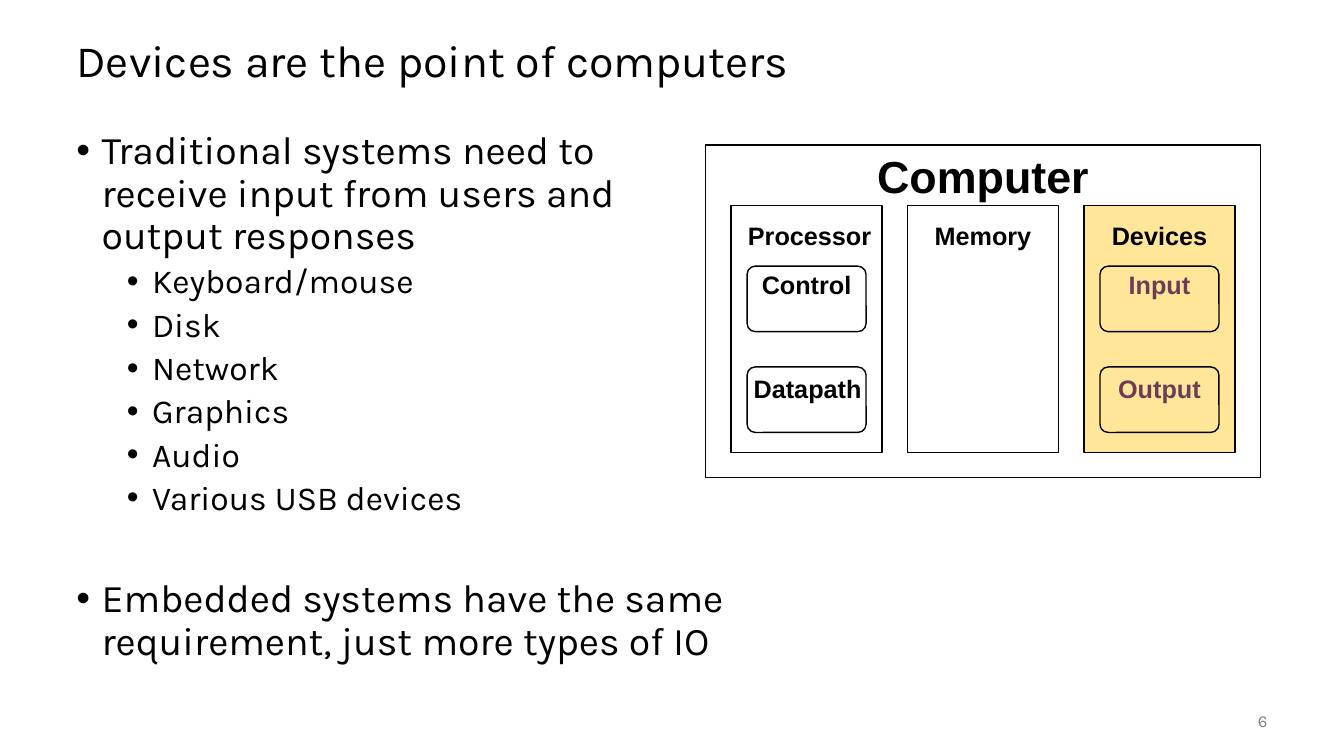
"""Build a slide on devices as the point of computers."""
from dataclasses import dataclass
from typing import Optional

from lxml import etree
from pptx import Presentation
from pptx.dml import color
from pptx.enum import shapes, text
from pptx.oxml import ns
from pptx.util import Inches, Pt

COLORS = {"black": "000000", "white": "FFFFFF", "gold": "FFE699",
          "plum": "703B56", "gray": "808080"}
ALIGN = text.PP_ALIGN
ANCHOR = text.MSO_ANCHOR


@dataclass
class Box:
    x: float
    y: float
    w: float
    h: float
    fill: Optional[str] = None
    rounded: bool = False


@dataclass
class Label:
    text: str
    x: float
    y: float
    w: float = 1.5
    h: float = 0.32
    size: float = 18
    color: str = "black"


@dataclass
class Bullet:
    text: str
    level: int = 0
    before: float = 5


def rgb(name: str) -> color.RGBColor:
    return color.RGBColor.from_string(COLORS[name])


def add_frame(s, x: float, y: float, w: float, h: float,
              inset=(0.1, 0.05), anchor=ANCHOR.TOP):
    tf = s.shapes.add_textbox(Inches(x), Inches(y), Inches(w), Inches(h)).text_frame
    tf.word_wrap = True
    tf.vertical_anchor = anchor
    tf.margin_left = tf.margin_right = Inches(inset[0])
    tf.margin_top = tf.margin_bottom = Inches(inset[1])
    return tf


def write(p, content: str, *, size: float, font: str = "Karla", ink: str = "black",
          bold: bool = False, align=ALIGN.LEFT, spacing: float = 0.9,
          before: float = 0) -> None:
    p.text = content
    p.alignment = align
    p.line_spacing = spacing
    p.space_before = Pt(before)
    for r in p.runs:
        r.font.size = Pt(size)
        r.font.name = font
        r.font.bold = bold
        r.font.color.rgb = rgb(ink)


def add_bullet(p, item: Bullet) -> None:
    p.level = item.level
    pPr = p._p.get_or_add_pPr()
    pPr.set("marL", str(Inches(0.25 + 0.5 * item.level)))
    pPr.set("indent", str(Inches(-0.25)))
    etree.SubElement(pPr, ns.qn("a:buFont"), typeface="Arial")
    etree.SubElement(pPr, ns.qn("a:buChar"), char="•")
    write(p, item.text, size=28 - 4 * item.level, before=item.before)


def draw_box(s, box: Box) -> None:
    kind = shapes.MSO_SHAPE.ROUNDED_RECTANGLE if box.rounded else shapes.MSO_SHAPE.RECTANGLE
    sp = s.shapes.add_shape(kind, Inches(box.x), Inches(box.y), Inches(box.w), Inches(box.h))
    if box.rounded:
        sp.adjustments[0] = 0.125
    sp.shadow.inherit = False
    sp.line.color.rgb = rgb("black")
    sp.line.width = Pt(1)
    if box.fill:
        sp.fill.solid()
        sp.fill.fore_color.rgb = rgb(box.fill)
    else:
        sp.fill.background()


def draw_label(s, label: Label) -> None:
    tf = add_frame(s, label.x, label.y, label.w, label.h, inset=(0.07, 0.03))
    write(tf.paragraphs[0], label.text, size=label.size, font="Arial", ink=label.color,
          bold=True, align=ALIGN.CENTER, spacing=0.85)


def draw_computer(s) -> None:
    processor, memory, devices = (7.25 + 1.75 * i for i in range(3))
    boxes = [Box(7, 1.44, 5.5, 3.3)]
    boxes += [Box(x, 2.04, 1.5, 2.45, fill)
              for x, fill in ((processor, None), (memory, None), (devices, "gold"))]
    boxes += [Box(x + 0.16, y, 1.18, 0.65, fill, True)
              for x, fill in ((processor, "white"), (devices, None))
              for y in (2.64, 3.64)]
    labels = [
        Label("Computer", 7, 1.53, 5.5, 0.51, 32),
        Label("Processor", processor + 0.03, 2.2),
        Label("Memory", memory, 2.2),
        Label("Devices", devices, 2.2),
        Label("Control", processor, 2.69),
        Label("Datapath", processor + 0.01, 3.72),
        Label("Input", devices, 2.69, color="plum"),
        Label("Output", devices, 3.72, color="plum"),
    ]
    for box in boxes:
        draw_box(s, box)
    for label in labels:
        draw_label(s, label)


def main() -> None:
    prs = Presentation()
    prs.slide_width, prs.slide_height = Inches(13.33), Inches(7.5)
    s = prs.slides.add_slide(prs.slide_layouts[6])

    tf = add_frame(s, 0.66, 0.25, 12, 0.75, anchor=ANCHOR.MIDDLE)
    write(tf.paragraphs[0], "Devices are the point of computers", size=32)

    devices = ("Keyboard/mouse", "Disk", "Network", "Graphics", "Audio",
               "Various USB devices")
    bullets = [
        Bullet("Traditional systems need to\vreceive input from users and\voutput responses",
               before=0),
        *(Bullet(name, 1) for name in devices),
        Bullet("Embedded systems have the same requirement, just more types of IO",
               before=44),
    ]
    tf = add_frame(s, 0.66, 1.25, 7.56, 5.5)
    for i, item in enumerate(bullets):
        add_bullet(tf.add_paragraph() if i else tf.paragraphs[0], item)

    tf = add_frame(s, 11.67, 6.95, 1, 0.4, anchor=ANCHOR.MIDDLE)
    write(tf.paragraphs[0], "6", size=12, ink="gray", align=ALIGN.RIGHT, spacing=1.0)

    draw_computer(s)
    prs.save("out.pptx")


if __name__ == "__main__":
    main()
